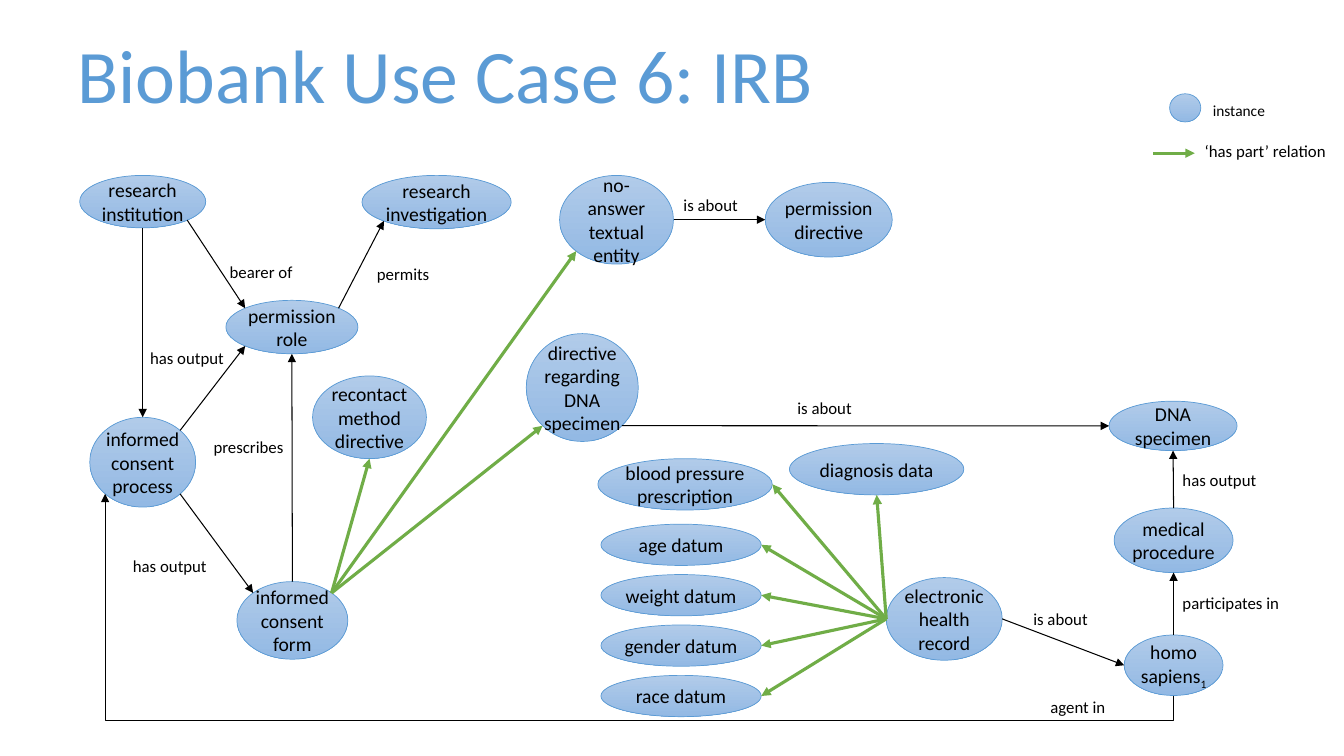
from math import cos, pi, sin

from lxml.etree import SubElement
from pptx import Presentation
from pptx.dml.color import RGBColor
from pptx.enum.shapes import MSO_CONNECTOR, MSO_SHAPE
from pptx.enum.text import MSO_ANCHOR, MSO_AUTO_SIZE, PP_ALIGN
from pptx.oxml.ns import qn
from pptx.util import Pt

PX = 9144  # 100 px to the inch
COLORS = {"title": "5B9BD5", "outline": "5B9BD5", "top": "B1CBE9", "bottom": "93B9E4",
          "text": "000000", "relation": "000000", "has_part": "70AD47"}
NODE_FRAME = {"word_wrap": True, "vertical_anchor": MSO_ANCHOR.MIDDLE, "margin_left": 0,
              "margin_top": 0, "margin_right": 0, "margin_bottom": 0}
LABEL_FRAME = {"word_wrap": False, "auto_size": MSO_AUTO_SIZE.SHAPE_TO_FIT_TEXT}
TITLE_FRAME = {"word_wrap": True, "auto_size": MSO_AUTO_SIZE.SHAPE_TO_FIT_TEXT}

# The connection sites of an ellipse run anticlockwise from its top.
TOP, TOP_LEFT, LEFT, BOTTOM_LEFT, BOTTOM, BOTTOM_RIGHT, RIGHT, TOP_RIGHT = range(8)

DATUM_NAMES = ["age datum", "weight datum", "gender datum", "race datum"]
NODES = {
    "research institution": (9, 4, 125, 52),
    "research investigation": (289, 4, 148, 53),
    "permission role": (154, 128, 131, 53),
    "recontact method directive": (240, 203, 113, 82),
    "informed consent process": (19, 244, 105, 89),
    "informed consent form": (165, 407, 110, 77),
    "no-answer textual entity": (485, 4, 113, 88),
    "permission directive": (689, 11, 126, 74),
    "directive regarding DNA specimen": (452, 161, 111, 107),
    "blood pressure prescription": (523, 285, 173, 51),
    "diagnosis data": (713, 270, 173, 51),
    **{name: (526, 350 + 50 * row, 159, 41) for row, name in enumerate(DATUM_NAMES)},
    "electronic health record": (809, 403, 115, 82),
    "DNA specimen": (1030, 228, 127, 49),
    "medical procedure": (1035, 334, 118, 64),
    "homo sapiens": (1045, 460, 98, 60),
}
SUBSCRIPTS = {"homo sapiens": "1"}
RELATIONS = [
    ("research institution", BOTTOM, "informed consent process", TOP),
    ("research institution", BOTTOM_RIGHT, "permission role", TOP_LEFT),
    ("permission role", TOP_RIGHT, "research investigation", BOTTOM_LEFT),
    ("informed consent process", TOP_RIGHT, "permission role", BOTTOM_LEFT),
    ("informed consent process", BOTTOM_RIGHT, "informed consent form", TOP_LEFT),
    ("informed consent form", TOP, "permission role", BOTTOM),
    ("no-answer textual entity", RIGHT, "permission directive", LEFT),
    ("directive regarding DNA specimen", BOTTOM_RIGHT, "DNA specimen", LEFT),
    ("electronic health record", RIGHT, "homo sapiens", LEFT),
    ("homo sapiens", TOP, "medical procedure", BOTTOM),
    ("medical procedure", TOP, "DNA specimen", BOTTOM),
]
PARTS = {
    ("informed consent form", TOP_RIGHT): [
        ("recontact method directive", BOTTOM),
        ("no-answer textual entity", BOTTOM_LEFT),
        ("directive regarding DNA specimen", BOTTOM_LEFT)],
    ("electronic health record", LEFT): [
        ("diagnosis data", BOTTOM),
        *[(name, RIGHT) for name in ["blood pressure prescription", *DATUM_NAMES]]],
}
RELATION_LABELS = [
    ("is about", 598, 18, 75), ("permits", 294, 87, 73), ("bearer of", 148, 85, 83),
    ("has output", 69, 170, 96), ("prescribes", 132, 258, 90), ("has output", 52, 376, 96),
    ("is about", 711, 220, 75), ("has output", 1093, 291, 94),
    ("participates in", 1093, 413, 117), ("is about", 945, 429, 75),
    ("agent in", 962, 516, 75),
]


def emu(*lengths):
    return [round(length * PX) for length in lengths]


def inside(box, part):
    """Shift a part's left and top by the corner of its region."""
    return (box[0] + part[0], box[1] + part[1], *part[2:])


def set_all(target, values):
    for key, value in values.items():
        setattr(target, key, value)


def add_run(paragraph, text, size, color="text"):
    run = paragraph.add_run()
    run.text = text
    set_all(run.font, {"name": "Calibri", "size": Pt(size)})
    run.font.color.rgb = RGBColor.from_string(COLORS[color])


def draw_text(slide, box, text, size=12, color="text", frame=LABEL_FRAME):
    label = slide.shapes.add_textbox(*emu(*box))
    set_all(label.text_frame, frame)
    add_run(label.text_frame.paragraphs[0], text, size, color)


def draw_instance(slide, box, text="", subscript=""):
    instance = slide.shapes.add_shape(MSO_SHAPE.OVAL, *emu(*box))
    instance.shadow.inherit = False
    instance.fill.gradient()
    instance.fill.gradient_angle = 270
    for stop, shade in zip(instance.fill.gradient_stops, ("top", "bottom")):
        stop.color.rgb = RGBColor.from_string(COLORS[shade])
    instance.line.color.rgb = RGBColor.from_string(COLORS["outline"])
    instance.line.width = Pt(0.5)
    set_all(instance.text_frame, NODE_FRAME)
    paragraph = instance.text_frame.paragraphs[0]
    paragraph.alignment = PP_ALIGN.CENTER
    if text:
        add_run(paragraph, text, 14)
    if subscript:
        add_run(paragraph, subscript, 14)
        instance.element.findall(".//" + qn("a:rPr"))[-1].set("baseline", "-25000")
    return instance


def draw_arrow(slide, start, end, color="relation", width=0.75, kind=MSO_CONNECTOR.STRAIGHT):
    arrow = slide.shapes.add_connector(kind, *emu(*start, *end))
    arrow.line.color.rgb = RGBColor.from_string(COLORS[color])
    arrow.line.width = Pt(width)
    properties = arrow.element.find(qn("p:spPr"))
    SubElement(properties.find(qn("a:ln")), qn("a:tailEnd"), type="triangle")
    SubElement(properties, qn("a:effectLst"))
    return arrow


def site_point(box, site):
    left, top, width, height = box
    angle = site * pi / 4
    return left + width * (1 - sin(angle)) / 2, top + height * (1 - cos(angle)) / 2


def draw_link(slide, box, instances, source, source_site, target, target_site, **style):
    """Draw an arrow between two instances and join it to their sites."""
    ends = [(source, source_site), (target, target_site)]
    arrow = draw_arrow(slide, *[site_point(inside(box, NODES[name]), site)
                                for name, site in ends], **style)
    joints = arrow.element.find(".//" + qn("p:cNvCxnSpPr"))
    for tag, (name, site) in zip(("a:stCxn", "a:endCxn"), ends):
        SubElement(joints, qn(tag), id=str(instances[name].shape_id), idx=str(site))


def draw_agent_link(slide, box, drop=25):
    """Lead an elbow below the diagram from the person to the consent process."""
    start_x, start_y = site_point(inside(box, NODES["homo sapiens"]), BOTTOM)
    end_x, end_y = site_point(inside(box, NODES["informed consent process"]), BOTTOM_LEFT)
    middle_x, middle_y = (start_x + end_x) / 2, (start_y + end_y) / 2
    half_span, half_rise = (start_x - end_x) / 2, (start_y - end_y) / 2
    elbow = draw_arrow(slide, (middle_x + half_rise, middle_y - half_span),
                       (middle_x - half_rise, middle_y + half_span),
                       width=0.5, kind=MSO_CONNECTOR.ELBOW)
    elbow.element.find(".//" + qn("a:xfrm")).set("rot", str(90 * 60000))
    bend = round(-drop / (2 * half_rise) * 100000)
    SubElement(elbow.element.find(".//" + qn("a:avLst")), qn("a:gd"),
               name="adj1", fmla=f"val {bend}")


def draw_legend(slide, box):
    draw_instance(slide, inside(box, (16, 0, 31, 28)))
    draw_text(slide, inside(box, (49, 2, 72, 29)), "instance", size=11)
    draw_arrow(slide, inside(box, (0, 59)), inside(box, (41, 59)), "has_part", 2.25)
    draw_text(slide, inside(box, (41, 42, 142, 30)), "‘has part’ relation")


def draw_diagram(slide, box):
    instances = {name: draw_instance(slide, inside(box, place), name, SUBSCRIPTS.get(name, ""))
                 for name, place in NODES.items()}
    for relation in RELATIONS:
        draw_link(slide, box, instances, *relation)
    for whole, parts in PARTS.items():
        for part in parts:
            draw_link(slide, box, instances, *whole, *part, color="has_part", width=2.25)
    draw_agent_link(slide, box)
    for text, left, top, width in RELATION_LABELS:
        draw_text(slide, inside(box, (left, top, width, 30)), text)


def main():
    presentation = Presentation()
    presentation.slide_width, presentation.slide_height = emu(1333, 750)
    slide = presentation.slides.add_slide(presentation.slide_layouts[6])
    draw_text(slide, (67, 23, 1001, 101), "Biobank Use Case 6: IRB", 54, "title", TITLE_FRAME)
    draw_legend(slide, (1144, 93, 183, 72))
    draw_diagram(slide, (70, 170, 1210, 546))
    presentation.save("out.pptx")


if __name__ == "__main__":
    main()
